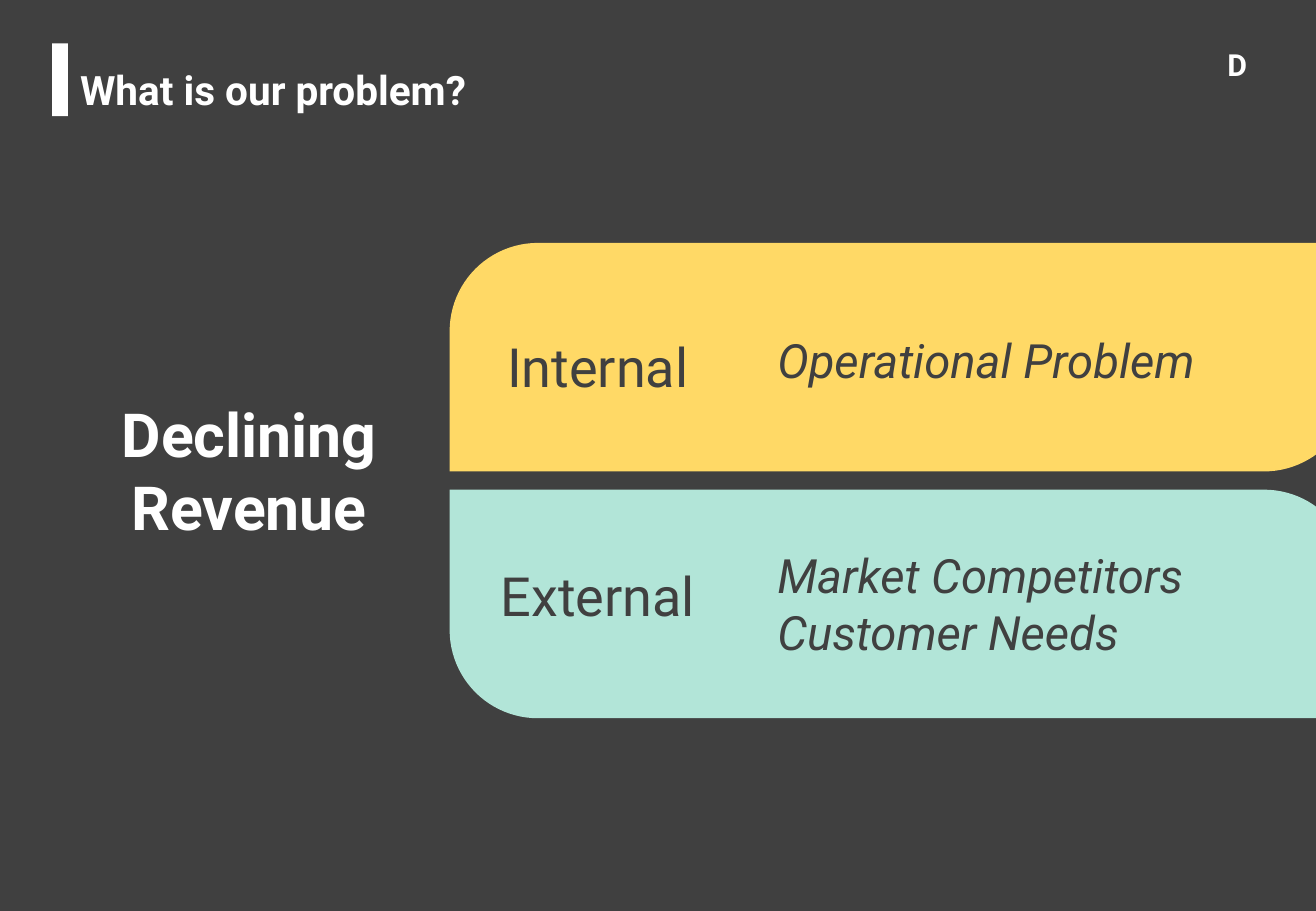
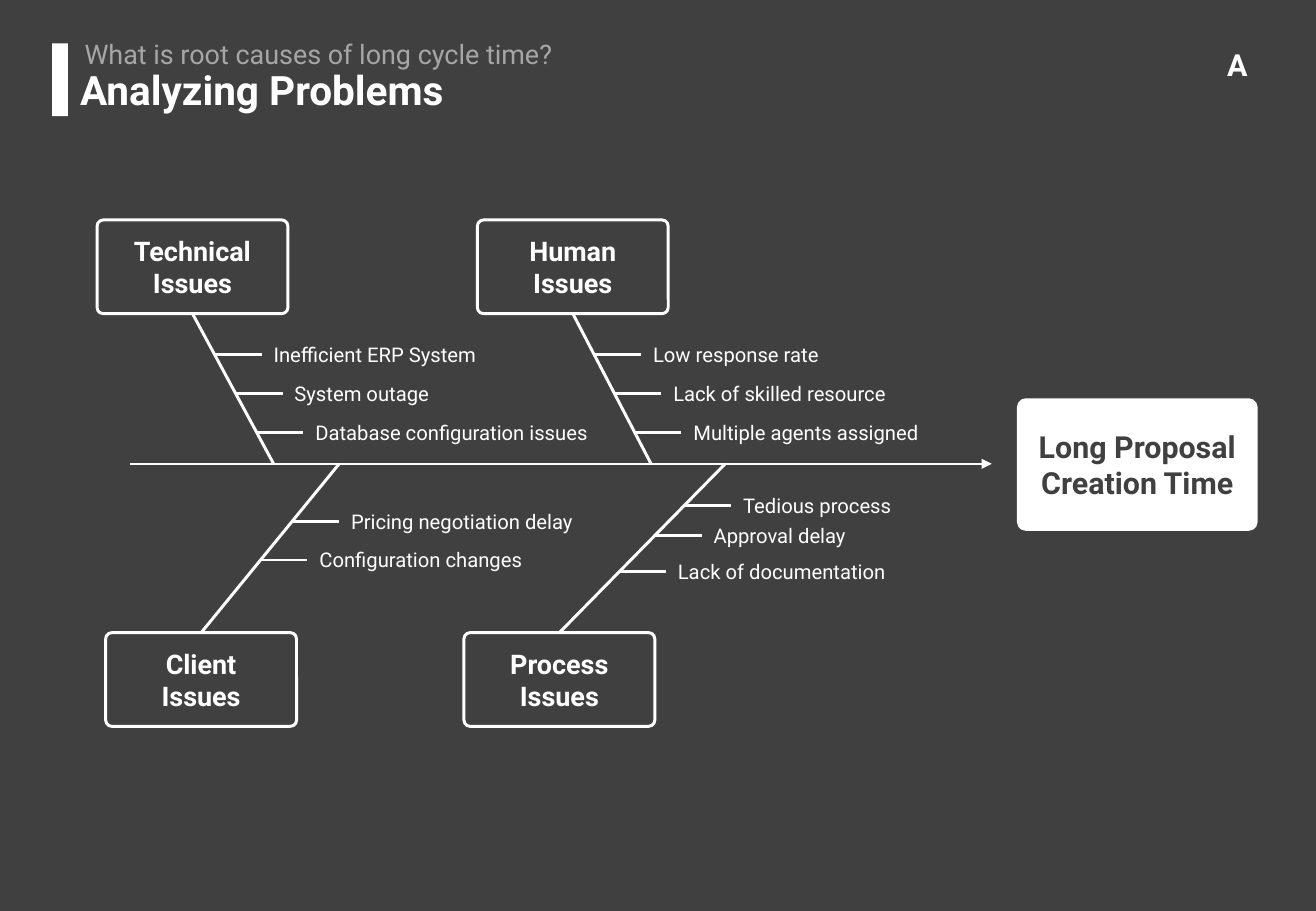
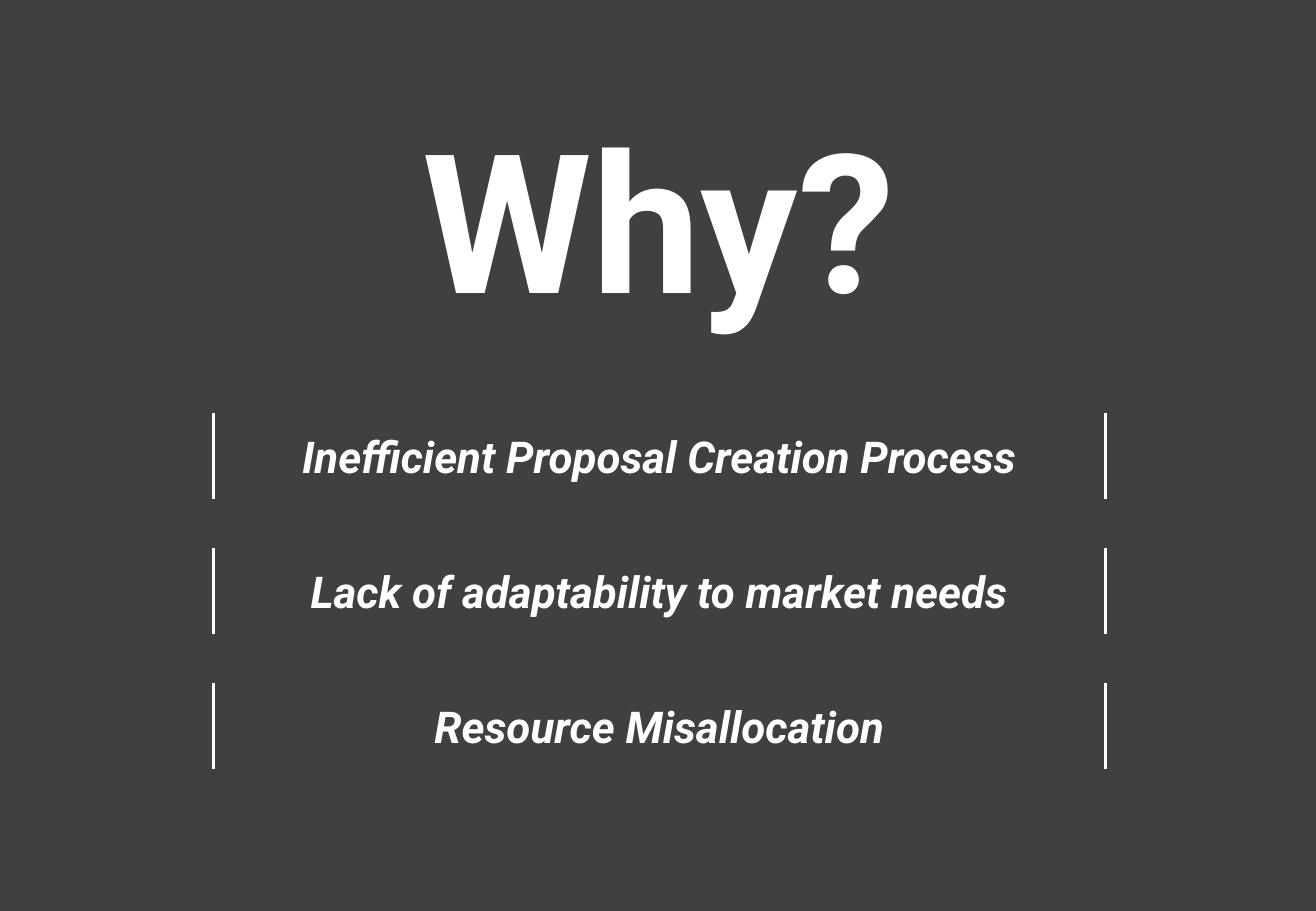
from lxml.etree import SubElement
from pptx import Presentation
from pptx.dml.color import RGBColor
from pptx.enum.shapes import MSO_CONNECTOR, MSO_SHAPE as SHAPE
from pptx.enum.text import MSO_ANCHOR as ANCHOR, MSO_AUTO_SIZE, PP_ALIGN as ALIGN
from pptx.oxml.ns import qn
from pptx.util import Cm, Pt

FONT = "Roboto"
COLORS = {
    "dark": "404040",
    "white": "FFFFFF",
    "grey": "A6A6A6",
    "yellow": "FFD966",
    "mint": "B2E5D8",
}
TITLE_ONLY = 5
TOP, BOTTOM = 0, 2
SPINE_Y = 9.7
CAUSE_W, CAUSE_H = 3.99, 1.96
RIB_LENGTH = 0.98
LABEL_H = 0.76


def rgb(name):
    return RGBColor.from_string(COLORS[name])


def write(tf, text, size=12, color="white", bold=False, italic=False,
          align=ALIGN.LEFT, anchor=ANCHOR.TOP, wrap=True):
    """Fill a text frame with one paragraph per line of text."""
    tf.word_wrap = wrap
    tf.auto_size = MSO_AUTO_SIZE.NONE
    tf.vertical_anchor = anchor
    for i, line in enumerate(text.split("\n")):
        p = tf.paragraphs[0] if i == 0 else tf.add_paragraph()
        p.alignment = align
        r = p.add_run()
        r.text = line
        r.font.name = FONT
        r.font.size = Pt(size)
        r.font.bold = bold
        r.font.italic = italic
        r.font.color.rgb = rgb(color)


def add_text(slide, box, text, **fmt):
    sp = slide.shapes.add_textbox(*map(Cm, box))
    write(sp.text_frame, text, **fmt)


def add_box(slide, kind, box, fill=None, line=None, width=1.75, adjust=(),
            text=None, **fmt):
    sp = slide.shapes.add_shape(kind, *map(Cm, box))
    sp.shadow.inherit = False
    for i, value in enumerate(adjust):
        sp.adjustments[i] = value
    if fill:
        sp.fill.solid()
        sp.fill.fore_color.rgb = rgb(fill)
    else:
        sp.fill.background()
    if line:
        sp.line.color.rgb = rgb(line)
        sp.line.width = Pt(width)
    else:
        sp.line.fill.background()
    if text:
        write(sp.text_frame, text, align=ALIGN.CENTER, anchor=ANCHOR.MIDDLE, **fmt)
    return sp


def add_line(slide, x1, y1, x2, y2, width=1.75, arrow=False):
    cxn = slide.shapes.add_connector(MSO_CONNECTOR.STRAIGHT, *map(Cm, (x1, y1, x2, y2)))
    cxn.line.color.rgb = rgb("white")
    cxn.line.width = Pt(width)
    sp_pr = cxn._element.spPr
    if arrow:
        SubElement(sp_pr.find(qn("a:ln")), qn("a:tailEnd"), type="triangle")
    SubElement(sp_pr, qn("a:effectLst"))
    return cxn


def add_slide(prs, title, box, **fmt):
    slide = prs.slides.add_slide(prs.slide_layouts[TITLE_ONLY])
    sp = slide.shapes.title
    sp.left, sp.top, sp.width, sp.height = map(Cm, box)
    write(sp.text_frame, title, bold=True, **fmt)
    return slide


def add_content_slide(prs, title, badge):
    """Add a slide with the marked heading and the step letter at top right."""
    slide = add_slide(prs, title, (1.42, 1.24, 9.5, 1.27), size=24, wrap=False)
    add_box(slide, SHAPE.RECTANGLE, (1.09, 0.91, 0.33, 1.52), fill="white")
    add_text(slide, (25.37, 0.85, 0.99, 1.02), badge, size=18, bold=True,
             align=ALIGN.CENTER, wrap=False)
    return slide


def add_cause(slide, name, left, spine_x, ribs, above):
    """Draw a cause box, its bone to the spine, and a labelled rib per (y, text)."""
    top = 4.6 if above else 13.23
    box = add_box(slide, SHAPE.ROUNDED_RECTANGLE, (left, top, CAUSE_W, CAUSE_H),
                  line="white", adjust=[0.066], text=name, size=16, bold=True)
    x, y = left + CAUSE_W / 2, top + CAUSE_H if above else top
    bone = add_line(slide, x, y, spine_x, SPINE_Y)
    bone.begin_connect(box, BOTTOM if above else TOP)
    for rib_y, text in ribs:
        start = x + (spine_x - x) * (rib_y - y) / (SPINE_Y - y)
        end = start + RIB_LENGTH
        add_line(slide, start, rib_y, end, rib_y)
        add_text(slide, (end, rib_y - LABEL_H / 2, 6.5, LABEL_H), text, wrap=False)


def problem_slide(prs):
    slide = add_content_slide(prs, "What is our problem?", "D")
    add_text(slide, (1.55, 8.18, 7.32, 3.33), "Declining\nRevenue", size=36,
             bold=True, align=ALIGN.CENTER)
    panels = [
        (5.08, "yellow", (0.386, 0), "Internal", 6.86, "Operational Problem", 6.81),
        (10.24, "mint", (0, 0.386), "External", 11.63,
         "Market Competitors\nCustomer Needs", 11.3),
    ]
    for top, fill, adjust, name, name_top, detail, detail_top in panels:
        add_box(slide, SHAPE.ROUND_2_DIAG_RECTANGLE, (9.4, top, 18.87, 4.78),
                fill=fill, adjust=adjust)
        add_text(slide, (8.84, name_top, 7.32, 1.63), name, size=32, color="dark",
                 align=ALIGN.CENTER)
        add_text(slide, (16, detail_top, 10.1, 2.64), detail, size=28, color="dark",
                 italic=True)


def fishbone_slide(prs):
    slide = add_content_slide(prs, "Analyzing Problems", "A")
    add_text(slide, (1.52, 0.66, 10.77, 0.94), "What is root causes of long cycle time?",
             size=16, color="grey", wrap=False)
    add_line(slide, 2.72, SPINE_Y, 20.73, SPINE_Y, width=1.25, arrow=True)
    add_box(slide, SHAPE.ROUNDED_RECTANGLE, (21.26, 8.33, 5.03, 2.77), fill="white",
            adjust=[0.066], text="Long Proposal\nCreation Time", size=18,
            color="dark", bold=True)
    causes = [
        ("Technical Issues", 2.03, 5.72, True,
         [(7.42, "Inefficient ERP System"), (8.23, "System outage"),
          (9.04, "Database configuration issues")]),
        ("Human\nIssues", 9.98, 13.61, True,
         [(7.42, "Low response rate"), (8.23, "Lack of skilled resource"),
          (9.04, "Multiple agents assigned")]),
        ("Client\nIssues", 2.21, 7.09, False,
         [(10.9, "Pricing negotiation delay"), (11.71, "Configuration changes")]),
        ("Process\nIssues", 9.7, 15.16, False,
         [(10.57, "Tedious process"), (11.2, "Approval delay"),
          (11.96, "Lack of documentation")]),
    ]
    for name, left, spine_x, above, ribs in causes:
        add_cause(slide, name, left, spine_x, ribs, above)


def why_slide(prs):
    slide = add_slide(prs, "Why?", (4.85, 1.96, 17.83, 5.18), size=115,
                      align=ALIGN.CENTER)
    reasons = ["Inefficient Proposal Creation Process",
               "Lack of adaptability to market needs",
               "Resource Misallocation"]
    for i, reason in enumerate(reasons):
        add_box(slide, SHAPE.DOUBLE_BRACKET, (4.47, 8.64 + 2.82 * i, 18.64, 1.8),
                line="white", width=2, adjust=[0], text=reason, size=26,
                bold=True, italic=True)


def main():
    prs = Presentation()
    prs.slide_width, prs.slide_height = Cm(27.51), Cm(19.05)
    background = prs.slide_master.background.fill
    background.solid()
    background.fore_color.rgb = rgb("dark")
    problem_slide(prs)
    fishbone_slide(prs)
    why_slide(prs)
    prs.save("out.pptx")


if __name__ == "__main__":
    main()
